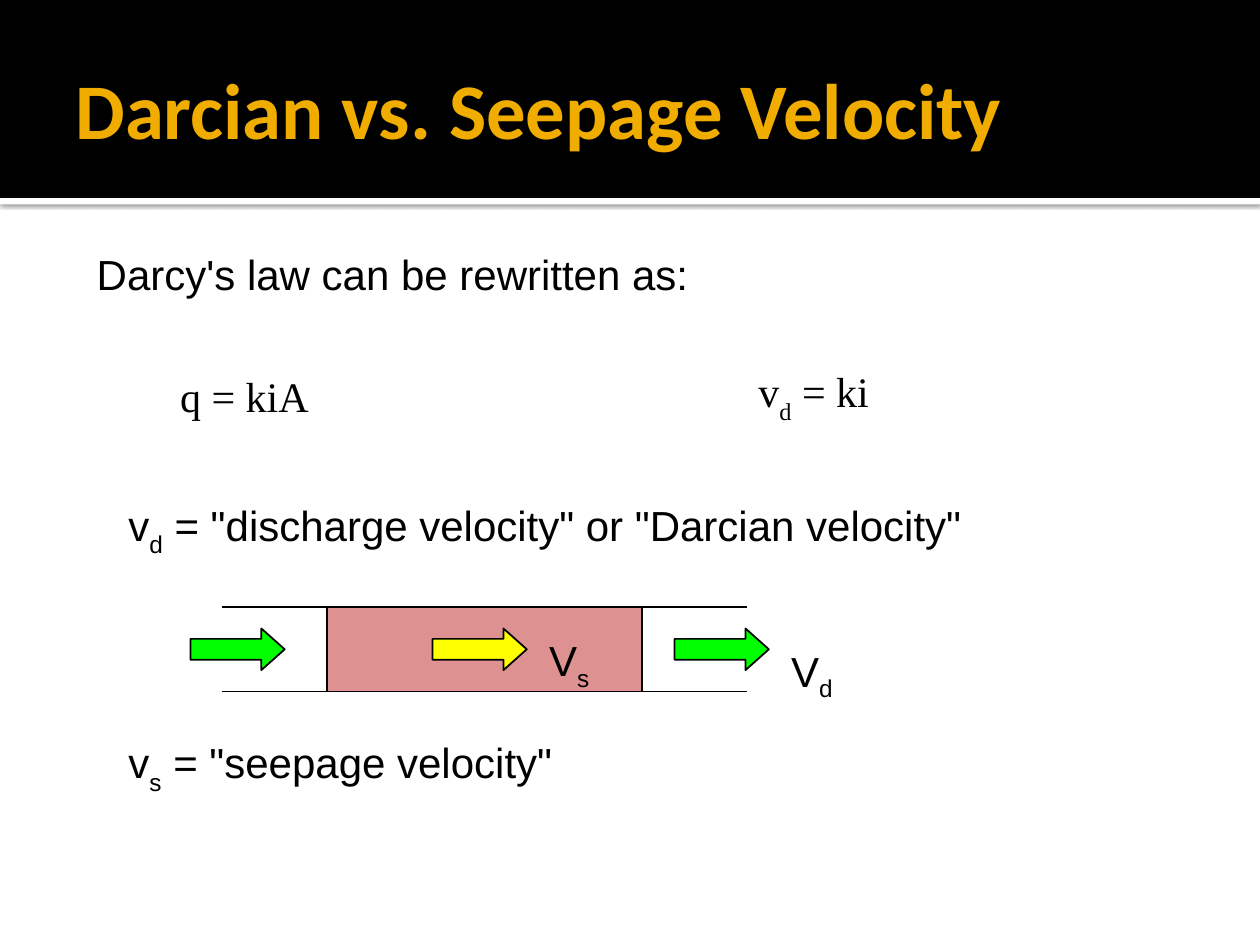
from lxml.etree import SubElement
from pptx import Presentation
from pptx.dml.color import RGBColor
from pptx.enum.shapes import MSO_CONNECTOR as CONN, MSO_SHAPE as SHAPE
from pptx.enum.text import MSO_ANCHOR as ANCHOR, MSO_AUTO_SIZE as FIT, PP_ALIGN as ALIGN
from pptx.oxml.ns import qn
from pptx.util import Cm, Pt

BLACK, WHITE, GOLD = "000000", "FFFFFF", "F0AD00"
SOIL, YELLOW, GREEN = "DD9191", "FFFF00", "00FF00"


def rgb(value):
    return RGBColor.from_string(value)


def add_block(shapes, kind, box, fill, line=None):
    sp = shapes.add_shape(kind, *map(Cm, box))
    sp.shadow.inherit = False
    sp.fill.solid()
    sp.fill.fore_color.rgb = rgb(fill)
    if line:
        sp.line.color.rgb = rgb(line)
        sp.line.width = Pt(1)
    else:
        sp.line.fill.background()
    return sp


def add_wall(shapes, left, right, y):
    wall = shapes.add_connector(CONN.STRAIGHT, Cm(left), Cm(y), Cm(right), Cm(y))
    wall.line.color.rgb = rgb(BLACK)
    wall.line.width = Pt(1)
    SubElement(wall._element.spPr, qn("a:effectLst"))


def add_text(shapes, box, text, font="Arial", anchor=ANCHOR.MIDDLE, wrap=False, drop=-30):
    """Add a line of text; the letter after an underscore is a subscript."""
    tf = shapes.add_textbox(*map(Cm, box)).text_frame
    tf.word_wrap, tf.auto_size, tf.vertical_anchor = wrap, FIT.SHAPE_TO_FIT_TEXT, anchor
    p = tf.paragraphs[0]
    head, _, tail = text.partition("_")
    for part, base in ((head, 0), (tail[:1], drop), (tail[1:], 0)):
        if part:
            r = p.add_run()
            r.text = part
            r.font.name, r.font.size = font, Pt(24)
            r.font.color.rgb = rgb(BLACK)
            if base:
                r._r.get_or_add_rPr().set("baseline", str(base * 1000))


def add_header(slide, box, text):
    left, top, width, height = box
    # White strip with a soft shadow, under the black band
    strip = add_block(slide.shapes, SHAPE.RECTANGLE, (left, top + height, width, 0.13), WHITE)
    effects = strip._element.spPr.find(qn("a:effectLst"))
    shadow = SubElement(effects, qn("a:outerShdw"), blurRad=str(Pt(2.5)),
                        dist=str(Pt(0.8)), dir="5400000", algn="tl", rotWithShape="0")
    color = SubElement(shadow, qn("a:srgbClr"), val=BLACK)
    SubElement(color, qn("a:alpha"), val="60000")
    add_block(slide.shapes, SHAPE.RECTANGLE, box, BLACK)

    # Title, brought in front of the band
    title = slide.shapes.title
    slide.shapes._spTree.append(title._element)
    title.left, title.top = Cm(left + 1.27), Cm(top + 0.43)
    title.width, title.height = Cm(width - 2.54), Cm(height - 0.51)
    tf = title.text_frame
    tf.text = text
    tf.word_wrap, tf.auto_size, tf.vertical_anchor = True, FIT.NONE, ANCHOR.MIDDLE
    tf.margin_left, tf.margin_right = Cm(0.25), Cm(0.13)
    p = tf.paragraphs[0]
    p.alignment = ALIGN.LEFT
    font = p.runs[0].font
    font.name, font.size, font.bold = "Calibri", Pt(45), True
    font.color.rgb = rgb(GOLD)


def add_statements(slide, box):
    left, top, width, height = box
    serif = "Times New Roman"
    lines = (
        (0, 0, 12.45, "Darcy's law can be rewritten as:", "Arial", ANCHOR.MIDDLE),
        (1.68, 2.46, 3.2, "q = kiA", serif, ANCHOR.TOP),
        (13.34, 2.46, 3.12, "v_d = ki", serif, ANCHOR.MIDDLE),
        (0.64, 5.15, 17.35, 'v_d = "discharge velocity" or "Darcian velocity"', "Arial", ANCHOR.MIDDLE),
        (0.64, height - 1.27, 9.42, 'v_s = "seepage velocity"', "Arial", ANCHOR.MIDDLE),
    )
    for dx, dy, w, text, font, anchor in lines:
        add_text(slide.shapes, (left + dx, top + dy, w, 1.27), text, font, anchor)


def add_flow_diagram(slide, box):
    left, top, width, height = box
    shapes = slide.shapes.add_group_shape().shapes
    # Soil sample between the tube walls
    add_block(shapes, SHAPE.RECTANGLE, (left + 2.76, top, 6.35, height), SOIL, BLACK)
    for y in (top, top + height):
        add_wall(shapes, left + 0.63, left + 11.22, y)
    # Flow arrows at equal steps, with velocity labels
    arrows = ((GREEN, None, 0), (YELLOW, "V_s", 0.43), (GREEN, "V_d", 0.64))
    for i, (fill, label, dy) in enumerate(arrows):
        x = left + i * 4.88
        arrow = add_block(shapes, SHAPE.RIGHT_ARROW, (x, top + 0.43, 1.9, 0.84), fill, BLACK)
        arrow.adjustments[1] = 0.56
        if label:
            add_text(shapes, (x + 2.1, top + dy, 2.11, 1.27), label,
                     anchor=ANCHOR.TOP, wrap=True, drop=-25)


def main():
    prs = Presentation()
    prs.slide_width, prs.slide_height = Cm(25.4), Cm(19.05)
    slide = prs.slides.add_slide(prs.slide_layouts[5])
    add_header(slide, (0, 0, 25.4, 3.99), "Darcian vs. Seepage Velocity")
    add_statements(slide, (1.7, 4.88, 18, 11.2))
    add_flow_diagram(slide, (3.84, 12.24, 13.97, 1.7))
    prs.save("out.pptx")


if __name__ == "__main__":
    main()
